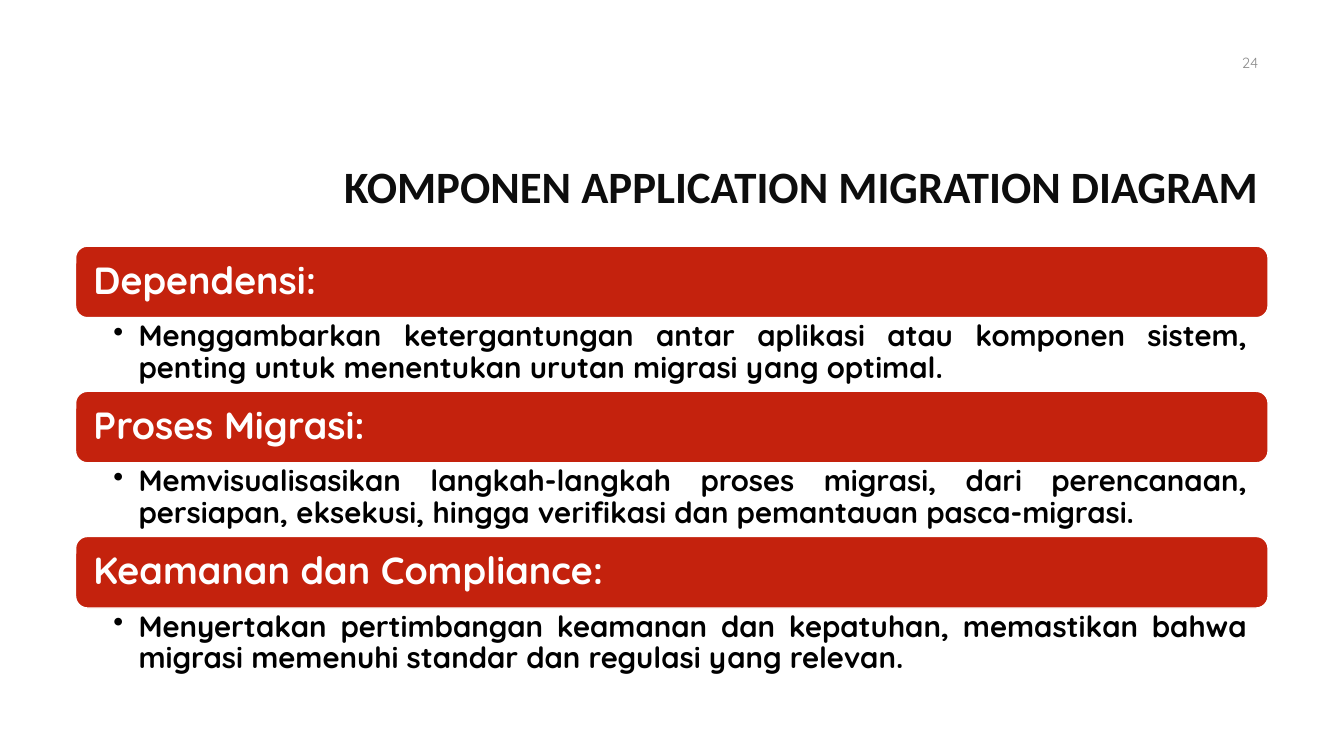
"""Build the slide on the components of an application migration diagram."""
import pptx
import pptx.dml.color
import pptx.enum.shapes
import pptx.enum.text
import pptx.oxml.ns
import pptx.util
import lxml.etree

Pt = pptx.util.Pt
ALIGN = pptx.enum.text.PP_ALIGN
ANCHOR = pptx.enum.text.MSO_ANCHOR
COLORS = {"bar": "C4220D", "white": "FFFFFF", "title": "0D0D0D",
          "body": "000000", "number": "8C8C8C"}


def color(name):
    return pptx.dml.color.RGBColor.from_string(COLORS[name])


def write(shape, text, frame_format, paragraph_format, font_format, ink, bullet=None):
    frame = shape.text_frame
    for key, value in {"word_wrap": True, **frame_format}.items():
        setattr(frame, key, value)
    paragraph = frame.paragraphs[0]
    paragraph.text = text
    for key, value in paragraph_format.items():
        setattr(paragraph, key, value)
    if bullet:
        properties = paragraph._p.get_or_add_pPr()
        properties.set("marL", str(Pt(18)))
        properties.set("indent", str(-Pt(18)))
        mark = lxml.etree.SubElement(properties, pptx.oxml.ns.qn("a:buChar"))
        mark.set("char", bullet)
    for key, value in font_format.items():
        setattr(paragraph.runs[0].font, key, value)
    paragraph.runs[0].font.color.rgb = color(ink)


LEFT, WIDTH = 54, 851.8
FIRST_TOP, PITCH = 175.8, 103.7
BAR_HEIGHT, DETAIL_HEIGHT = 51.1, 52.6

COMPONENTS = [
    ("Dependensi:",
     "Menggambarkan ketergantungan antar aplikasi atau komponen sistem, "
     "penting untuk menentukan urutan migrasi yang optimal."),
    ("Proses Migrasi:",
     "Memvisualisasikan langkah-langkah proses migrasi, dari perencanaan, "
     "persiapan, eksekusi, hingga verifikasi dan pemantauan pasca-migrasi."),
    ("Keamanan dan Compliance:",
     "Menyertakan pertimbangan keamanan dan kepatuhan, memastikan bahwa "
     "migrasi memenuhi standar dan regulasi yang relevan."),
]

MIDDLE = {"vertical_anchor": ANCHOR.MIDDLE}
HEADING_FRAME = {**MIDDLE, "margin_left": Pt(10.3), "margin_right": Pt(10.3)}
DETAIL_FRAME = {"vertical_anchor": ANCHOR.TOP, "margin_left": Pt(27),
                "margin_right": Pt(15), "margin_top": Pt(2.7), "margin_bottom": Pt(2.7)}
JUSTIFIED = {"alignment": ALIGN.JUSTIFY, "line_spacing": 0.9}
HEADING_FONT = {"name": "Quicksand", "size": Pt(27), "bold": True}
DETAIL_FONT = {"name": "Quicksand", "size": Pt(21), "bold": True}

presentation = pptx.Presentation()
presentation.slide_width = Pt(960)
presentation.slide_height = Pt(540)
slide = presentation.slides.add_slide(presentation.slide_layouts[6])

title = slide.shapes.add_textbox(Pt(228.2), Pt(108.7), Pt(678.2), Pt(53.3))
write(title, "KOMPONEN APPLICATION MIGRATION DIAGRAM", MIDDLE,
      {"alignment": ALIGN.RIGHT, "line_spacing": 0.9},
      {"name": "Calibri", "size": Pt(32), "bold": True}, "title")

for index, (heading, detail) in enumerate(COMPONENTS):
    top = FIRST_TOP + index * PITCH
    bar = slide.shapes.add_shape(pptx.enum.shapes.MSO_SHAPE.ROUNDED_RECTANGLE,
                                 Pt(LEFT), Pt(top), Pt(WIDTH), Pt(BAR_HEIGHT))
    bar.shadow.inherit = False
    bar.fill.solid()
    bar.fill.fore_color.rgb = color("bar")
    bar.line.color.rgb = color("white")
    bar.line.width = Pt(1)
    write(bar, heading, HEADING_FRAME, JUSTIFIED, HEADING_FONT, "white")

    explanation = slide.shapes.add_textbox(Pt(LEFT), Pt(top + BAR_HEIGHT),
                                           Pt(WIDTH), Pt(DETAIL_HEIGHT))
    write(explanation, detail, DETAIL_FRAME, {**JUSTIFIED, "level": 1},
          DETAIL_FONT, "body", bullet="•")

page_number = slide.shapes.add_textbox(Pt(689.8), Pt(30.2), Pt(216), Pt(28.8))
write(page_number, "24", MIDDLE, {"alignment": ALIGN.RIGHT},
      {"name": "Quicksand", "size": Pt(10.5)}, "number")

presentation.save("out.pptx")
